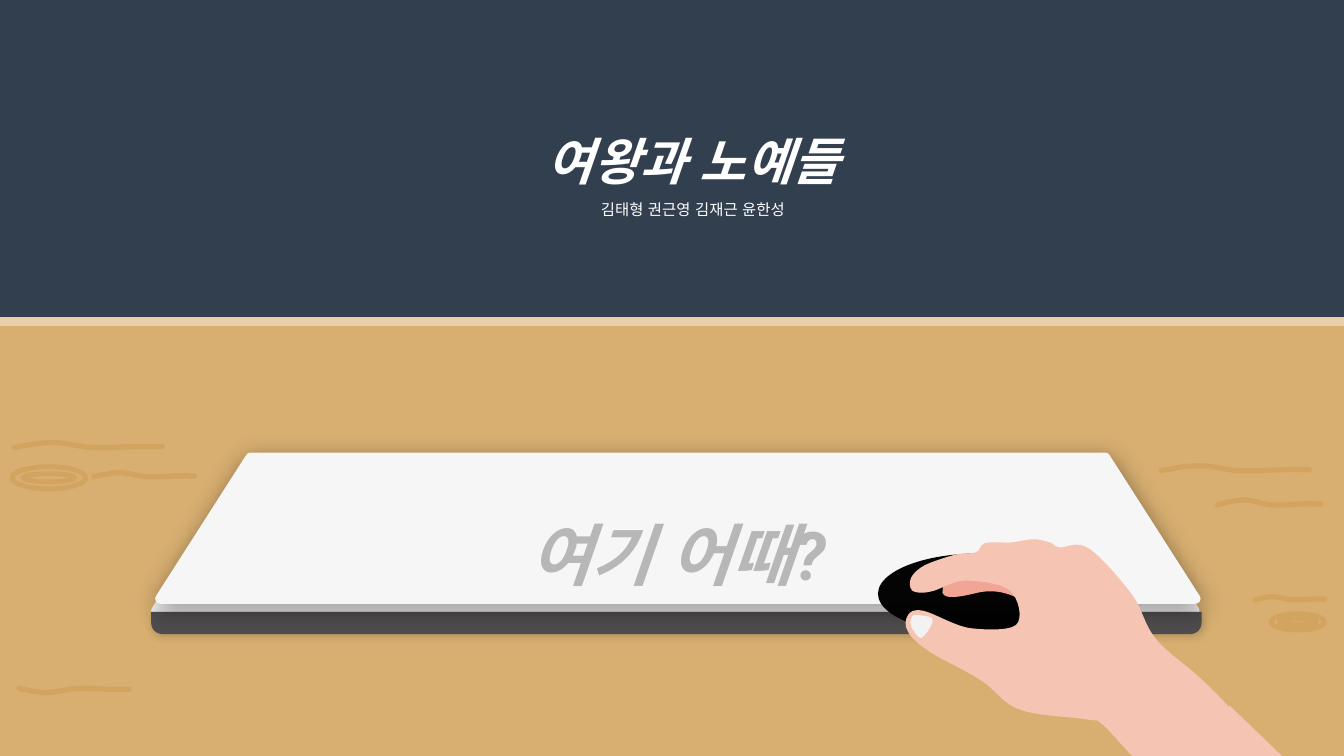
import dataclasses
import pptx
import pptx.dml.color
import pptx.enum.shapes
import pptx.enum.text
import pptx.oxml
import pptx.oxml.ns
import pptx.util

PX = 9144
SHAPES = pptx.enum.shapes.MSO_SHAPE


@dataclasses.dataclass(frozen=True)
class Theme:
    """Colours, fonts and type sizes of the slide."""
    wall: str = "323F4F"
    edge: str = "E8CFAA"
    wood: str = "D8AF71"
    grain: str = "D3A45F"
    paper: str = "F6F6F6"
    base: str = "4E4C4D"
    mouse: str = "000000"
    skin: str = "F5C4B3"
    palm: str = "F2A595"
    nail: str = "F2F2F2"
    white: str = "FFFFFF"
    slogan: str = "B7B7B7"
    title_font: str = "Arial"
    slogan_font: str = "Roboto"
    title_size: int = 36
    names_size: int = 11
    slogan_size: int = 48


THEME = Theme()
WAVE = [(0, 100), (9, 50, 17, 0, 26, 0), (35, 0, 44, 90, 53, 100),
        (63, 110, 75, 85, 83, 80), (90, 75, 95, 80, 100, 80)]
PALM = [(151, 27), (149, 19, 141, 13, 133, 14), (54, 29), (45, 31, 36, 35, 38, 44),
        (37, 53), (39, 61, 59, 56, 68, 54), (105, 44, 116, 69, 143, 64),
        (151, 62, 153, 35, 151, 27)]
HAND = [(127, 0), (121, 0, 115, 2, 107, 3), (99, 4, 85, 2, 79, 4),
        (73, 6, 75, 12, 70, 13), (65, 15, 60, 13, 51, 15), (43, 17, 27, 22, 19, 26),
        (12, 30, 8, 34, 6, 38), (4, 42, 4, 48, 7, 51), (10, 53, 16, 54, 25, 52),
        (33, 51, 47, 41, 60, 41), (73, 41, 96, 44, 104, 51), (113, 59, 117, 79, 110, 85),
        (103, 91, 78, 90, 63, 88), (47, 85, 28, 73, 18, 71), (8, 69, 5, 72, 3, 75),
        (0, 79, -1, 86, 3, 92), (6, 98, 13, 104, 25, 112), (37, 120, 60, 130, 75, 140),
        (90, 149, 96, 163, 114, 169), (132, 176, 168, 176, 181, 179),
        (195, 181, 187, 177, 196, 184), (202, 189, 214, 203, 223, 213),
        (227, 216), (255, 216), (267, 209), (278, 203, 297, 196, 305, 191),
        (313, 186, 311, 183, 314, 180), (318, 177, 330, 181, 327, 174),
        (323, 167, 307, 151, 294, 139), (281, 126, 260, 113, 249, 99),
        (237, 85, 236, 70, 225, 55), (214, 40, 194, 17, 182, 9),
        (170, 1, 159, 9, 153, 8), (146, 7, 148, 4, 143, 3), (139, 2, 133, 0, 127, 0)]
NAIL = [(27, 79), (29, 83, 20, 96, 16, 98), (13, 99, 8, 90, 6, 87),
        (5, 84, 5, 80, 6, 79), (6, 77, 7, 76, 9, 75), (11, 75, 26, 76, 27, 79)]
WRIST = [(322, 165), (244, 216), (375, 216)]


def make_element(tag, **attributes):
    """Make an empty drawing element."""
    pairs = " ".join(f'{name}="{value}"' for name, value in attributes.items())
    return pptx.oxml.parse_xml(f"<a:{tag} {pptx.oxml.ns.nsdecls('a')} {pairs}/>")


def paint(shape, fill=None, line=None, weight=0):
    """Give a shape its fill and a rounded outline, without a shadow."""
    shape.shadow.inherit = False
    if fill:
        shape.fill.solid()
        shape.fill.fore_color.rgb = pptx.dml.color.RGBColor.from_string(fill)
    else:
        shape.fill.background()
    if line:
        shape.line.color.rgb = pptx.dml.color.RGBColor.from_string(line)
        shape.line.width = pptx.util.Pt(weight)
        stroke = shape._element.spPr.find(pptx.oxml.ns.qn("a:ln"))
        stroke.set("cap", "rnd")
        stroke.append(make_element("round"))
    else:
        shape.line.fill.background()
    return shape


def add_preset(page, kind, box, **look):
    """Add a painted preset shape at a px box."""
    return paint(page.shapes.add_shape(kind, *(value * PX for value in box)), **look)


def cast_shadow(shape, alpha, blur, distance, angle):
    """Put a soft black shadow in the empty effect list."""
    shadow = make_element("outerShdw", blurRad=blur * 12700, dist=distance * 12700,
                          dir=angle * 60000, algn="ctr", rotWithShape=0)
    colour = make_element("srgbClr", val="000000")
    colour.append(make_element("alpha", val=alpha * 1000))
    shadow.append(colour)
    shape._element.spPr.find(pptx.oxml.ns.qn("a:effectLst")).append(shadow)


def add_outline(page, origin, outline, scale=(1, 1), close=True, **look):
    """Draw lines and cubic curves whose points are relative to an origin."""
    points = [tuple((origin[axis] + part[at + axis] * scale[axis]) * PX for axis in (0, 1))
              for part in outline for at in range(0, len(part), 2)]
    builder = page.shapes.build_freeform(*points[0], scale=1.0)
    builder.add_line_segments(points[1:], close=close)
    shape = builder.convert_to_shape()
    segments = iter(list(shape._element.spPr.iter(pptx.oxml.ns.qn("a:lnTo"))))
    for part in outline[1:]:
        segment = next(segments)
        if len(part) == 6:
            curve = make_element("cubicBezTo")
            segment.addprevious(curve)
            for piece in (segment, next(segments), next(segments)):
                curve.append(piece[0])
                piece.getparent().remove(piece)
    return paint(shape, **look)


def add_knot(page, box):
    """Draw two nested rings of a wood knot."""
    left, top, width, height = box
    inset, inner = round(width * 0.15), round(height * 0.36)
    rings = (box, (left + inset, top + (height - inner) // 2, width - 2 * inset, inner))
    for ring in rings:
        add_preset(page, SHAPES.OVAL, ring, line=THEME.grain, weight=3.5)


def format_text(frame, styles):
    """Centre the paragraphs and style each one as (size, font, colour, strong)."""
    frame.word_wrap = True
    frame.auto_size = pptx.enum.text.MSO_AUTO_SIZE.NONE
    frame.vertical_anchor = pptx.enum.text.MSO_ANCHOR.TOP
    for para, (size, font, colour, strong) in zip(frame.paragraphs, styles):
        para.alignment = pptx.enum.text.PP_ALIGN.CENTER
        para.line_spacing = 1.5
        for span in para.runs:
            span.font.size = pptx.util.Pt(size)
            span.font.name = font
            span.font.bold = span.font.italic = strong
            span.font.color.rgb = pptx.dml.color.RGBColor.from_string(colour)
            for script in ("ea", "cs"):
                span._r.get_or_add_rPr().append(make_element(script, typeface=font))


def add_desk(page, box):
    """Draw the desk top with its edge, grain and knots."""
    left, top, width, height = box
    edge = 9
    process = SHAPES.FLOWCHART_PROCESS
    add_preset(page, process, (left, top, width, edge), fill=THEME.edge)
    add_preset(page, process, (left, top + edge, width, height - edge), fill=THEME.wood)
    waves = ((1152, 148, 147, 5), (1208, 182, 102, 5), (14, 125, 147, 5),
             (93, 155, 100, 4), (19, 373, 109, -4), (1245, 278, 69, 3))
    for x, y, length, rise in waves:
        add_outline(page, (left + x, top + y), WAVE, (length / 100, rise / 100),
                    close=False, line=THEME.grain, weight=3.75)
    for x, y, wide, high in ((12, 149, 73, 22), (1261, 295, 53, 16)):
        add_knot(page, (left + x, top + y, wide, high))


def add_pad(page, box):
    """Draw the layered pad and its slogan."""
    left, top, width, height = box
    sheet = dict(fill=THEME.paper, line=THEME.paper, weight=7.25)
    lower = add_preset(page, SHAPES.TRAPEZOID, (left + 5, top + 12, 1030, 140), **sheet)
    base = add_preset(page, SHAPES.ROUND_2_SAME_RECTANGLE,
                      (left, top + height - 22, width, 22), fill=THEME.base)
    base.adjustments[0], base.adjustments[1] = 0, 0.5
    cast_shadow(base, 20, 6, 1, 45)
    upper = add_preset(page, SHAPES.TRAPEZOID, (left + 9, top, 1027, 140), **sheet)
    cast_shadow(upper, 40, 17, 3, 90)
    lower.adjustments[0] = upper.adjustments[0] = 0.64
    slogan = page.shapes.add_textbox(*(value * PX for value in (left + 227, top + 10, 590, 120)))
    slogan.text_frame.text = "여기 어때?"
    format_text(slogan.text_frame,
                [(THEME.slogan_size, THEME.slogan_font, THEME.slogan, True)])


def add_hand(page, box):
    """Draw a hand resting on a mouse."""
    left, top = box[:2]
    mouse = add_preset(page, SHAPES.OVAL, (left - 27, top + 14, 202, 80), fill=THEME.mouse)
    colour = mouse._element.spPr.find(".//" + pptx.oxml.ns.qn("a:srgbClr"))
    colour.append(make_element("alpha", val=98000))
    for outline, fill in ((PALM, THEME.palm), (HAND, THEME.skin),
                          (NAIL, THEME.nail), (WRIST, THEME.skin)):
        add_outline(page, (left, top), outline, fill=fill)


def add_heading(page, box):
    """Place the team name and its members in the title placeholder."""
    title = page.shapes.title
    title.left, title.top, title.width, title.height = (value * PX for value in box)
    title.text_frame.text = "여왕과 노예들\n김태형 권근영 김재근 윤한성"
    format_text(title.text_frame,
                [(THEME.title_size, THEME.title_font, THEME.white, True),
                 (THEME.names_size, THEME.title_font, THEME.white, False)])


def main():
    """Build the slide and save the deck."""
    deck = pptx.Presentation()
    deck.slide_width, deck.slide_height = pptx.util.Pt(960), pptx.util.Pt(540)
    page = deck.slides.add_slide(deck.slide_layouts[5])
    page.background.fill.solid()
    page.background.fill.fore_color.rgb = pptx.dml.color.RGBColor.from_string(THEME.wall)
    add_desk(page, (0, 314, 1334, 436))
    add_pad(page, (150, 454, 1042, 175))
    add_hand(page, (898, 535, 375, 216))
    add_heading(page, (342, 94, 691, 129))
    deck.save("out.pptx")


if __name__ == "__main__":
    main()
